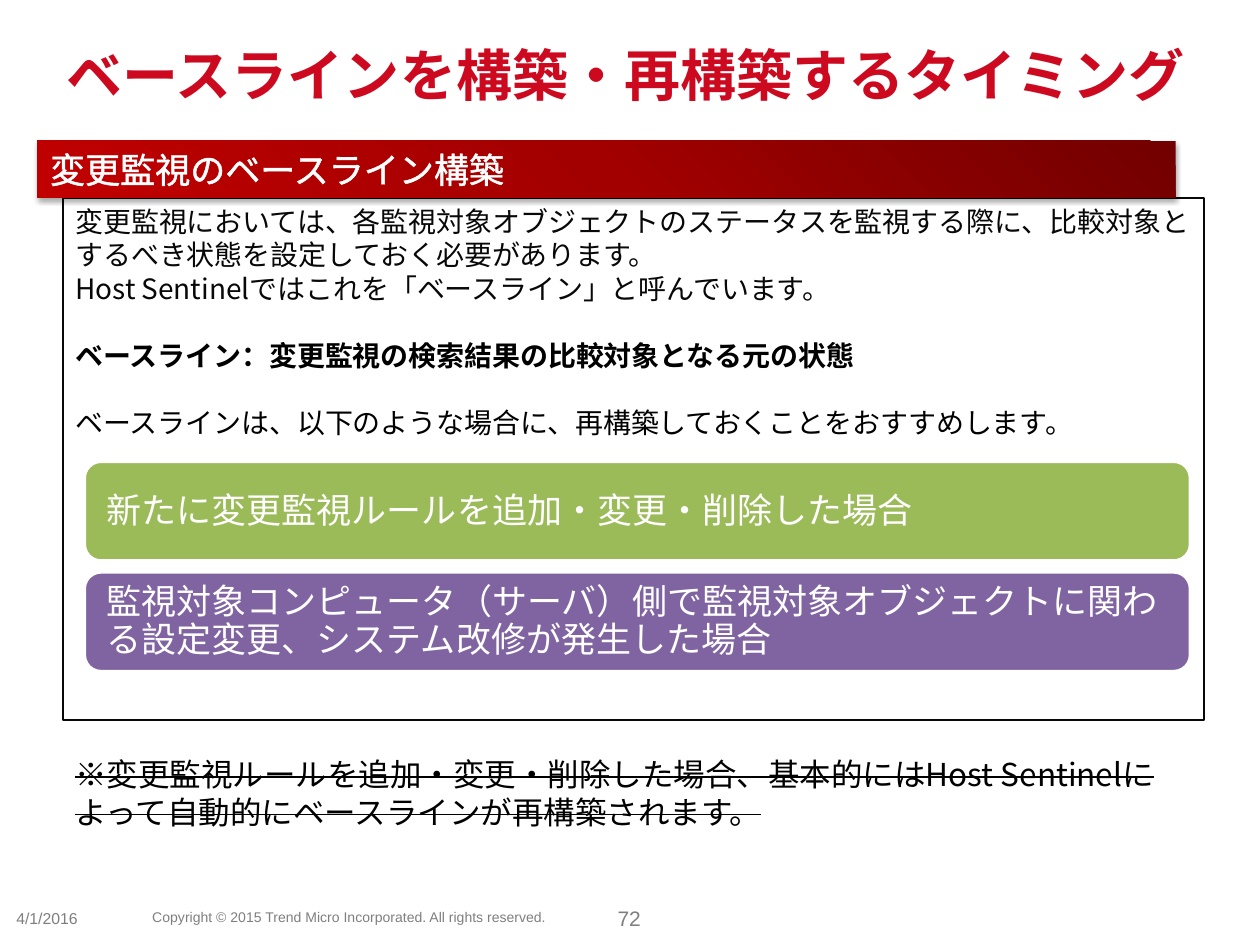
"""Build the slide on when to construct and rebuild a baseline."""
import pptx
import pptx.dml.color
import pptx.enum.shapes
import pptx.enum.text
import pptx.oxml
import pptx.oxml.ns
import pptx.util

Cm = pptx.util.Cm
Pt = pptx.util.Pt
MIDDLE = pptx.enum.text.MSO_ANCHOR.MIDDLE
TOP = pptx.enum.text.MSO_ANCHOR.TOP
LEFT = pptx.enum.text.PP_ALIGN.LEFT
CENTER = pptx.enum.text.PP_ALIGN.CENTER
RECTANGLE = pptx.enum.shapes.MSO_SHAPE.RECTANGLE
ROUNDED = pptx.enum.shapes.MSO_SHAPE.ROUNDED_RECTANGLE
JAPANESE = "Noto Sans CJK JP"
NAMESPACE = pptx.oxml.ns.nsdecls("a")


def rgb(value):
    return pptx.dml.color.RGBColor.from_string(value)


def write(paragraph, text, color, alignment=LEFT, spacing=None, before=0, **font_values):
    layout = {"alignment": alignment, "line_spacing": spacing, "space_before": Pt(before)}
    for name, value in layout.items():
        setattr(paragraph, name, value)
    run = paragraph.add_run()
    run.text = text
    for name, value in font_values.items():
        setattr(run.font, name, value)
    run.font.color.rgb = rgb(color)
    properties = run._r.get_or_add_rPr()
    properties.append(pptx.oxml.parse_xml(f'<a:ea {NAMESPACE} typeface="{JAPANESE}"/>'))
    return properties


presentation = pptx.Presentation()
presentation.slide_width = Cm(25.4)
presentation.slide_height = Cm(19.05)
slide = presentation.slides.add_slide(presentation.slide_layouts[5])

footers = [
    ("4/1/2016", (0.08, 18.06, 2.08, 0.91), 9, LEFT, MIDDLE),
    ("72", (11.91, 18.06, 1.55, 0.91), 12, CENTER, MIDDLE),
    ("Copyright © 2015 Trend Micro Incorporated. All rights reserved.",
     (2.31, 18.19, 9.47, 0.76), 8, CENTER, TOP),
]
for text, place, size, alignment, anchor in footers:
    footer = slide.shapes.add_textbox(*map(Cm, place))
    footer.text_frame.word_wrap = True
    footer.text_frame.vertical_anchor = anchor
    write(footer.text_frame.paragraphs[0], text, "7F7F7F", alignment, name="Arial", size=Pt(size))

frame = slide.shapes.add_shape(RECTANGLE, Cm(1.27), Cm(3.99), Cm(23.01), Cm(10.52))
frame.shadow.inherit = False
frame.fill.background()
frame.line.color.rgb = rgb("080808")
frame.line.width = Pt(1)
frame.text_frame.vertical_anchor = TOP
explanations = [
    ("変更監視においては、各監視対象オブジェクトのステータスを監視する際に、比較対象とするべき状態を設定しておく必要があります。", "080808", 0, False),
    ("Host Sentinelではこれを「ベースライン」と呼んでいます。", "080808", 0, False),
    ("ベースライン：変更監視の検索結果の比較対象となる元の状態", "000000", 19.2, True),
    ("ベースラインは、以下のような場合に、再構築しておくことをおすすめします。", "000000", 19.2, False),
]
for index, (text, color, before, bold) in enumerate(explanations):
    paragraph = frame.text_frame.add_paragraph() if index else frame.text_frame.paragraphs[0]
    write(paragraph, text, color, spacing=Pt(19.2), before=before,
          name=JAPANESE, size=Pt(16), bold=bold)

header = slide.shapes.add_shape(RECTANGLE, Cm(0.76), Cm(2.84), Cm(22.94), Cm(1.14))
header.shadow.inherit = False
header.line.fill.background()
header.fill.gradient()
gradient = header._element.spPr.find(pptx.oxml.ns.qn("a:gradFill"))
stops = "".join(
    f'<a:gs pos="{position * 1000}"><a:srgbClr val="{color}"/></a:gs>'
    for position, color in [(0, "720000"), (50, "A20000"), (100, "C00000")]
)
header._element.spPr.replace(gradient, pptx.oxml.parse_xml(
    f'<a:gradFill {NAMESPACE} rotWithShape="1"><a:gsLst>{stops}</a:gsLst>'
    '<a:lin ang="8100000" scaled="0"/></a:gradFill>'))
effects = header._element.spPr.find(pptx.oxml.ns.qn("a:effectLst"))
effects.append(pptx.oxml.parse_xml(
    f'<a:outerShdw {NAMESPACE} blurRad="{Pt(3.1)}" dist="{Pt(1.8)}" dir="5400000" rotWithShape="0">'
    '<a:srgbClr val="000000"><a:alpha val="35000"/></a:srgbClr></a:outerShdw>'))
header.text_frame.vertical_anchor = MIDDLE
heading = write(header.text_frame.paragraphs[0], "変更監視のベースライン構築", "FFFFFF",
                spacing=Pt(24), name=JAPANESE, size=Pt(20))
heading.insert(0, pptx.oxml.parse_xml(
    f'<a:ln {NAMESPACE} w="{Pt(1.45)}"><a:solidFill><a:srgbClr val="FFFFFF"/></a:solidFill></a:ln>'))

cases = [
    ("新たに変更監視ルールを追加・変更・削除した場合", "9BBB59"),
    ("監視対象コンピュータ（サーバ）側で監視対象オブジェクトに関わる設定変更、システム改修が発生した場合", "8064A2"),
]
for index, (text, color) in enumerate(cases):
    card = slide.shapes.add_shape(ROUNDED, Cm(1.7), Cm(9.3 + 2.23 * index), Cm(22.3), Cm(2.01))
    card.shadow.inherit = False
    card.fill.solid()
    card.fill.fore_color.rgb = rgb(color)
    card.line.color.rgb = rgb("FFFFFF")
    card.line.width = Pt(2)
    margins = {"margin_left": Cm(0.35), "margin_right": Cm(0.3), "vertical_anchor": MIDDLE}
    for name, value in margins.items():
        setattr(card.text_frame, name, value)
    write(card.text_frame.paragraphs[0], text, "FFFFFF", spacing=Pt(21.6),
          name=JAPANESE, size=Pt(20))

title = slide.shapes.title
title_place = {"left": Cm(1.09), "top": Cm(0.61), "width": Cm(23.27), "height": Cm(1.78)}
for name, value in title_place.items():
    setattr(title, name, value)
title.text_frame.vertical_anchor = MIDDLE
write(title.text_frame.paragraphs[0], "ベースラインを構築・再構築するタイミング", "CD0920",
      spacing=Pt(38.4), name="Arial", size=Pt(32), bold=True)

note = slide.shapes.add_textbox(Cm(1.27), Cm(15.09), Cm(23.01), Cm(1.8))
note.text_frame.word_wrap = True
note_runs = [
    ("※", "Calibri"),
    ("変更監視ルールを追加・変更・削除した場合、基本的にはHost Sentinelによって自動的にベースラインが再構築されます。", JAPANESE),
]
for text, font_name in note_runs:
    properties = write(note.text_frame.paragraphs[0], text, "000000", spacing=Pt(21.6),
                       name=font_name, size=Pt(18))
    properties.set("strike", "sngStrike")

presentation.save("out.pptx")
